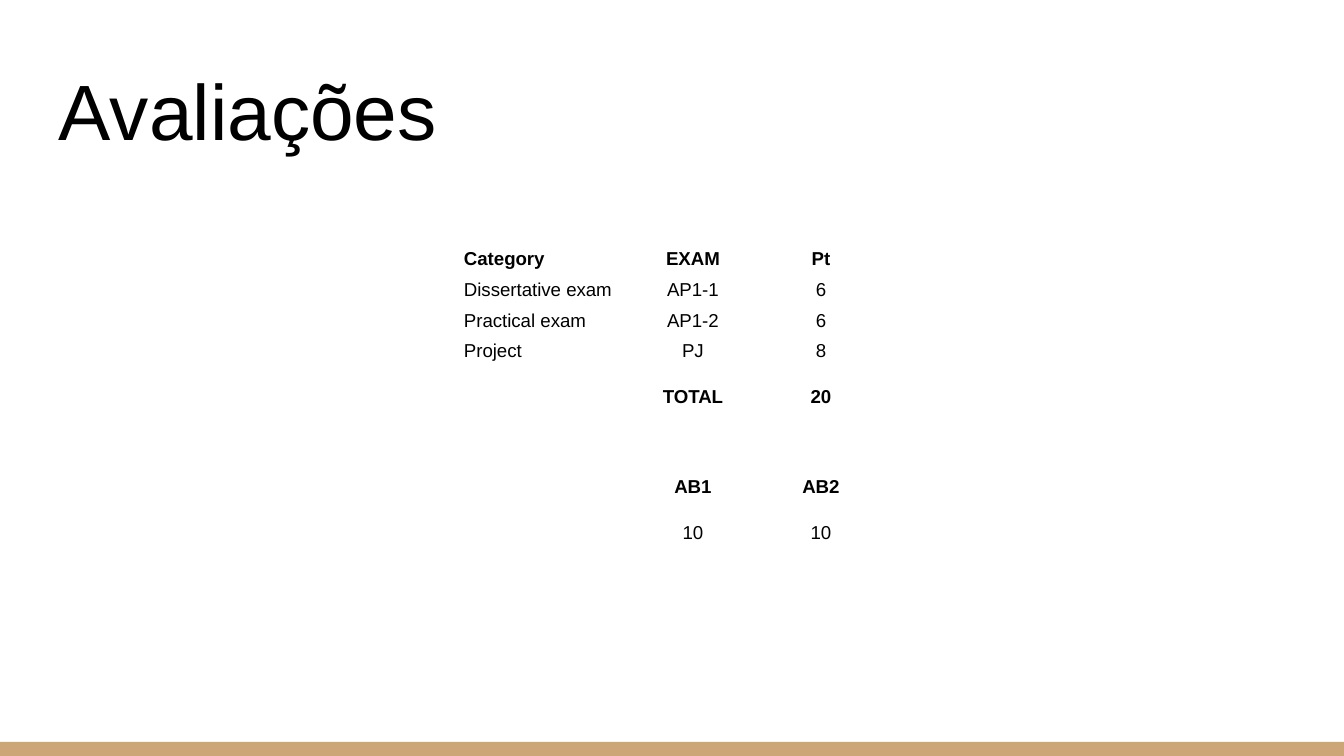
import pptx
import pptx.dml.color
import pptx.enum.shapes
import pptx.enum.text
import pptx.util

EMU_PER_PX = 914400 / 134.4
COLORS = {"background": "FFFFFF", "band": "CCA677", "text": "000000"}
FONT = "Arial"
COLUMN_WIDTHS = [169, 128, 128]
FULL_ROW, OPEN_ROW = 29, 43
ROWS = [
    ("Category", "EXAM", "Pt"),
    ("Dissertative exam", "AP1-1", "6"),
    ("Practical exam", "AP1-2", "6"),
    ("Project", "PJ", "8"),
    ("", "TOTAL", "20"),
    ("", "", ""),
    ("", "AB1", "AB2"),
    ("", "10", "10"),
]
BOLD_ROWS = {0, 4, 6}


def px(n):
    return pptx.util.Emu(round(n * EMU_PER_PX))


def rgb(name):
    return pptx.dml.color.RGBColor.from_string(COLORS[name])


def format_run(r, size, bold=False):
    r.font.name = FONT
    r.font.size = pptx.util.Pt(size)
    r.font.bold = bold
    r.font.color.rgb = rgb("text")


def add_band(slide, x, y, w, h):
    sp = slide.shapes.add_shape(
        pptx.enum.shapes.MSO_SHAPE.RECTANGLE, px(x), px(y), px(w), px(h))
    sp.shadow.inherit = False
    sp.fill.solid()
    sp.fill.fore_color.rgb = rgb("band")
    sp.line.fill.background()


def add_title(slide, text, x, y, w, h):
    tf = slide.shapes.add_textbox(px(x), px(y), px(w), px(h)).text_frame
    tf.word_wrap = True
    tf.vertical_anchor = pptx.enum.text.MSO_ANCHOR.BOTTOM
    tf.margin_left = tf.margin_right = tf.margin_top = tf.margin_bottom = px(13)
    tf.text = text
    format_run(tf.paragraphs[0].runs[0], 42)


def fill_cell(cell, text, centered, bold):
    cell.fill.background()
    cell.vertical_anchor = pptx.enum.text.MSO_ANCHOR.BOTTOM
    cell.margin_left = cell.margin_right = px(4)
    cell.margin_top, cell.margin_bottom = px(2), px(3)
    if not text:
        return
    p = cell.text_frame.paragraphs[0]
    p.text = text
    p.line_spacing = 1.15
    if centered:
        p.alignment = pptx.enum.text.PP_ALIGN.CENTER
    format_run(p.runs[0], 10, bold)


def add_exam_table(slide, x, y):
    """Rows with an empty cell are taller than full rows."""
    heights = [FULL_ROW if all(row) else OPEN_ROW for row in ROWS]
    table = slide.shapes.add_table(
        len(ROWS), len(COLUMN_WIDTHS), px(x), px(y),
        px(sum(COLUMN_WIDTHS)), px(sum(heights))).table
    table.first_row = table.horz_banding = False
    for column, width in zip(table.columns, COLUMN_WIDTHS):
        column.width = px(width)
    for i, row in enumerate(ROWS):
        table.rows[i].height = px(heights[i])
        for j, text in enumerate(row):
            fill_cell(table.cell(i, j), text, j > 0, i in BOLD_ROWS)


def main():
    prs = pptx.Presentation()
    prs.slide_width, prs.slide_height = px(1344), px(756)
    slide = prs.slides.add_slide(prs.slide_layouts[6])
    slide.background.fill.solid()
    slide.background.fill.fore_color.rgb = rgb("background")
    add_band(slide, 0, 742, 1344, 14)
    add_title(slide, "Avaliações", 46, 47, 1252, 122)
    add_exam_table(slide, 460, 242)
    prs.save("out.pptx")


if __name__ == "__main__":
    main()
